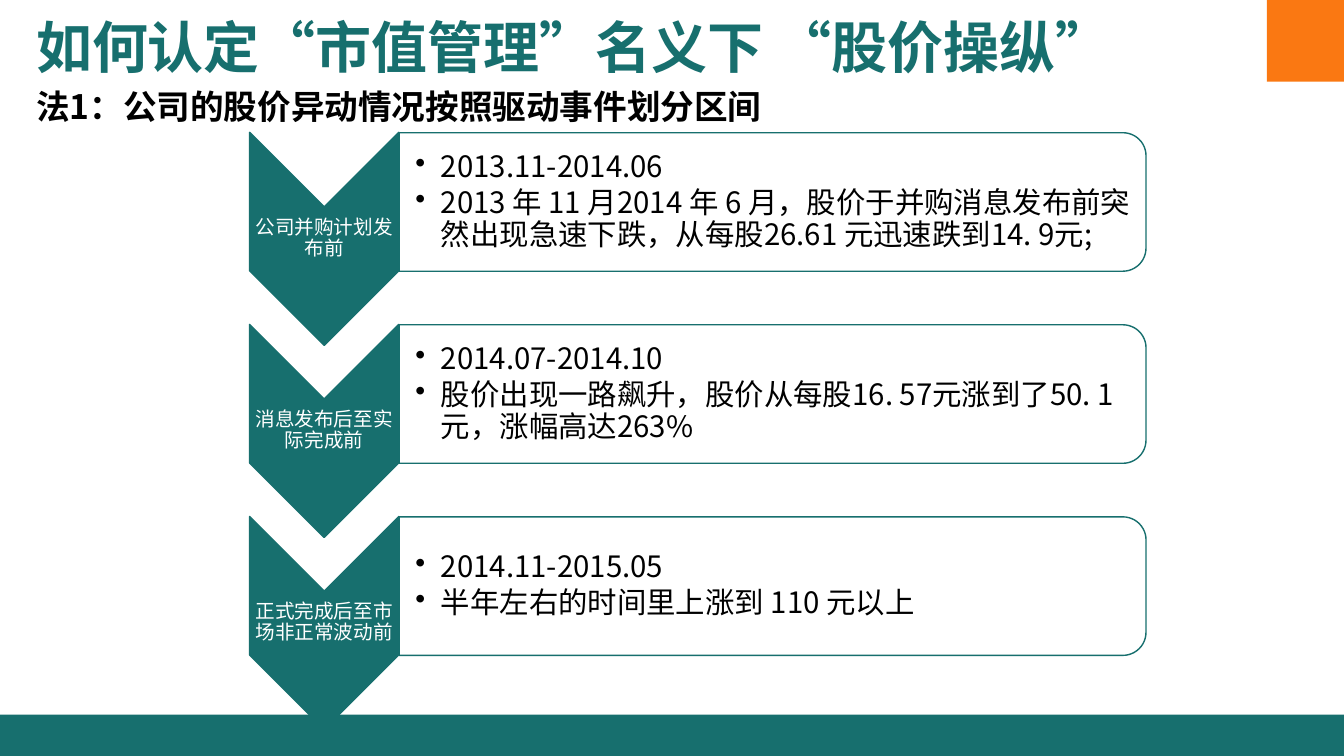
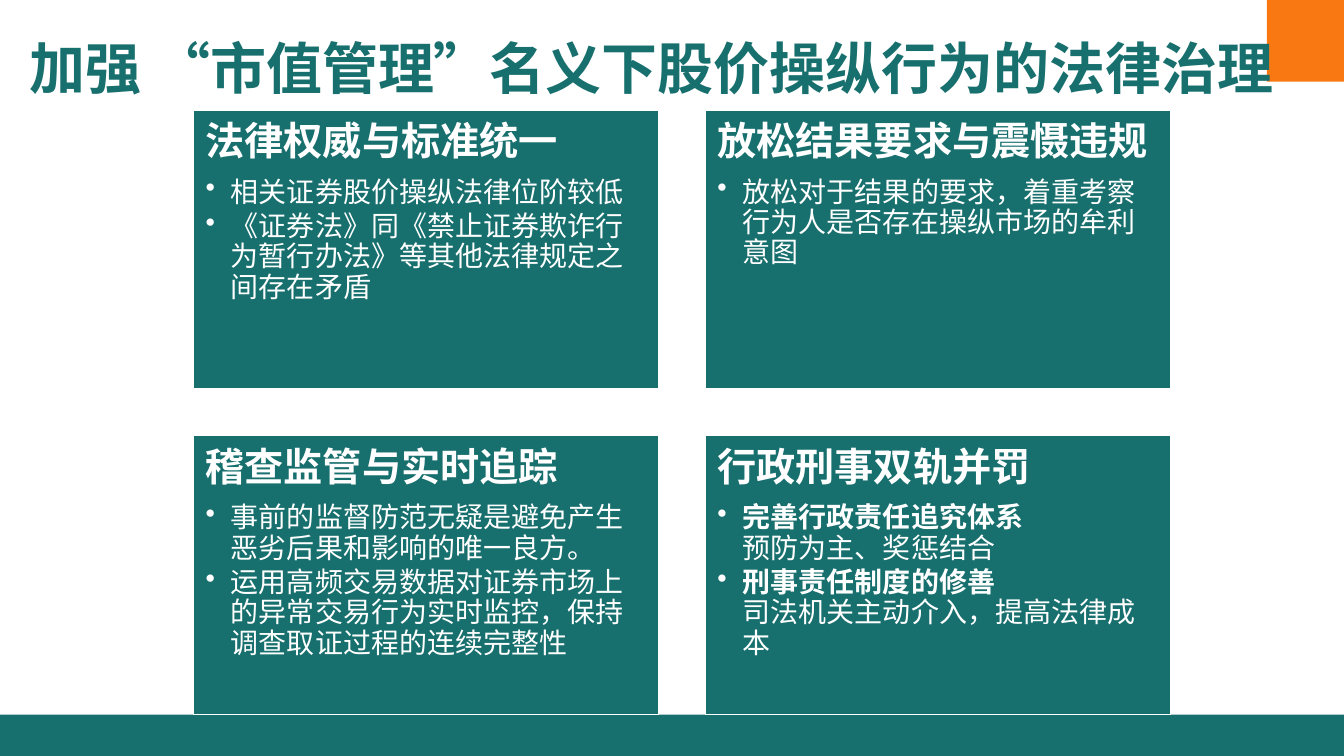
from lxml.etree import SubElement
from pptx import Presentation
from pptx.dml.color import RGBColor
from pptx.enum.shapes import MSO_SHAPE
from pptx.enum.text import MSO_ANCHOR, PP_ALIGN
from pptx.oxml.ns import qn
from pptx.util import Cm, Pt

FONT = "Noto Sans CJK SC"
TEAL, ORANGE, WHITE, BLACK = "176F6E", "FA7812", "FFFFFF", "000000"

# Content
STAGES_TITLE = "如何认定“市值管理”名义下 “股价操纵”"
STAGES_SUBTITLE = "法1：公司的股价异动情况按照驱动事件划分区间"
STAGES = [
    ("公司并购计划发布前",
     ["2013.11-2014.06",
      "2013 年 11 月2014 年 6 月，股价于并购消息发布前突然出现急速下跌，从每股26.61 元迅速跌到14. 9元;"]),
    ("消息发布后至实际完成前",
     ["2014.07-2014.10",
      "股价出现一路飙升，股价从每股16. 57元涨到了50. 1 元，涨幅高达263%"]),
    ("正式完成后至市场非正常波动前",
     ["2014.11-2015.05", "半年左右的时间里上涨到 110 元以上"]),
]
MEASURES_TITLE = "加强 “市值管理”名义下股价操纵行为的法律治理"
# A vertical tab separates a bold lead line from its explanation
MEASURES = [
    ("法律权威与标准统一",
     ["相关证券股价操纵法律位阶较低",
      "《证券法》同《禁止证券欺诈行为暂行办法》等其他法律规定之间存在矛盾"]),
    ("放松结果要求与震慑违规",
     ["放松对于结果的要求，着重考察行为人是否存在操纵市场的牟利意图"]),
    ("稽查监管与实时追踪",
     ["事前的监督防范无疑是避免产生恶劣后果和影响的唯一良方。",
      "运用高频交易数据对证券市场上的异常交易行为实时监控，保持调查取证过程的连续完整性"]),
    ("行政刑事双轨并罚",
     ["完善行政责任追究体系\v预防为主、奖惩结合",
      "刑事责任制度的修善\v司法机关主动介入，提高法律成本"]),
]


def color(value):
    return RGBColor.from_string(value)


def add_block(page, kind, left, top, width, height, fill, line=None):
    block = page.shapes.add_shape(kind, Cm(left), Cm(top), Cm(width), Cm(height))
    block.shadow.inherit = False
    block.fill.solid()
    block.fill.fore_color.rgb = color(fill)
    if line:
        block.line.color.rgb = color(line)
        block.line.width = Pt(1)
    else:
        block.line.fill.background()
    return block


def add_turned(page, kind, center_x, center_y, width, height, fill):
    """Add a shape turned a quarter clockwise about its centre."""
    block = add_block(page, kind, center_x - width / 2, center_y - height / 2,
                      width, height, fill, TEAL)
    block.rotation = 90


def add_text_box(page, left, top, width, height):
    box = page.shapes.add_textbox(Cm(left), Cm(top), Cm(width), Cm(height))
    box.text_frame.word_wrap = True
    return box.text_frame


def set_insets(frame, left, others):
    frame.margin_left = Cm(left)
    frame.margin_top = frame.margin_right = frame.margin_bottom = Cm(others)


def style_span(span, size, text_color, bold=False):
    span.font.size = Pt(size)
    span.font.bold = bold
    span.font.color.rgb = color(text_color)
    span.font.name = FONT
    SubElement(span.font._element, qn("a:ea"), typeface=FONT)


def write(paragraph, text, size, text_color, bold=False):
    paragraph.text = text
    paragraph.alignment = PP_ALIGN.LEFT
    for span in paragraph.runs:
        style_span(span, size, text_color, bold)


def write_bullet(paragraph, text, size, text_color):
    properties = paragraph._p.get_or_add_pPr()
    properties.set("marL", str(Cm(0.64)))
    properties.set("indent", str(-Cm(0.64)))
    SubElement(properties, qn("a:buChar"), char="•")
    write(paragraph, text, size, text_color)
    if len(paragraph.runs) > 1:
        paragraph.runs[0].font.bold = True
    set_spacing(paragraph, size * 0.15)


def set_spacing(paragraph, after):
    paragraph.line_spacing = 0.9
    paragraph.space_after = Pt(round(after, 1))


def add_page(deck, title, left, top):
    """Blank page with the shared band, corner block and title."""
    page = deck.slides.add_slide(deck.slide_layouts[6])
    add_block(page, MSO_SHAPE.RECTANGLE, 0, 18.01, 33.87, 1.04, TEAL)
    add_block(page, MSO_SHAPE.RECTANGLE, 31.93, 0, 1.94, 2.06, ORANGE)
    frame = add_text_box(page, left, top, 32.87, 1.96)
    write(frame.paragraphs[0], title, 40, TEAL, bold=True)
    return page


def build_stages(deck):
    page = add_page(deck, STAGES_TITLE, 0.66, 0.2)
    subtitle = add_text_box(page, 0.66, 2.03, 23.6, 1.27)
    write(subtitle.paragraphs[0], STAGES_SUBTITLE, 24, BLACK, bold=True)

    for index, (stage, facts) in enumerate(STAGES):
        offset = index * 4.84
        # Downward chevron with its label
        add_turned(page, MSO_SHAPE.CHEVRON, 8.17, 6.02 + offset, 5.37, 3.76, TEAL)
        label = add_text_box(page, 6.29, 5.21 + offset, 3.76, 1.6)
        label.vertical_anchor = MSO_ANCHOR.MIDDLE
        set_insets(label, 0.02, 0.02)
        write(label.paragraphs[0], stage, 14, WHITE)
        label.paragraphs[0].alignment = PP_ALIGN.CENTER
        set_spacing(label.paragraphs[0], 14 * 0.35)

        # Panel rounded on the right, with its facts
        add_turned(page, MSO_SHAPE.ROUND_2_SAME_RECTANGLE, 19.47, 5.09 + offset,
                   3.49, 18.82, WHITE)
        body = add_text_box(page, 10.06, 3.51 + offset, 18.64, 3.15)
        body.vertical_anchor = MSO_ANCHOR.MIDDLE
        set_insets(body, 0.41, 0.03)
        for number, fact in enumerate(facts):
            paragraph = body.add_paragraph() if number else body.paragraphs[0]
            write_bullet(paragraph, fact, 21, BLACK)


def build_measures(deck):
    page = add_page(deck, MEASURES_TITLE, 0.5, 0.71)
    width, height, gap = 11.72, 7.03, 1.18
    for index, (heading, points) in enumerate(MEASURES):
        row, column = divmod(index, 2)
        card = add_block(page, MSO_SHAPE.RECTANGLE, 4.88 + column * (width + gap),
                         2.77 + row * (height + gap), width, height, TEAL, WHITE)
        frame = card.text_frame
        frame.word_wrap = True
        frame.vertical_anchor = MSO_ANCHOR.TOP
        set_insets(frame, 0.3, 0.3)
        write(frame.paragraphs[0], heading, 28, WHITE, bold=True)
        set_spacing(frame.paragraphs[0], 28 * 0.35)
        for point in points:
            write_bullet(frame.add_paragraph(), point, 20, WHITE)


def main():
    deck = Presentation()
    deck.slide_width, deck.slide_height = Cm(33.87), Cm(19.05)
    build_stages(deck)
    build_measures(deck)
    deck.save("out.pptx")


if __name__ == "__main__":
    main()
